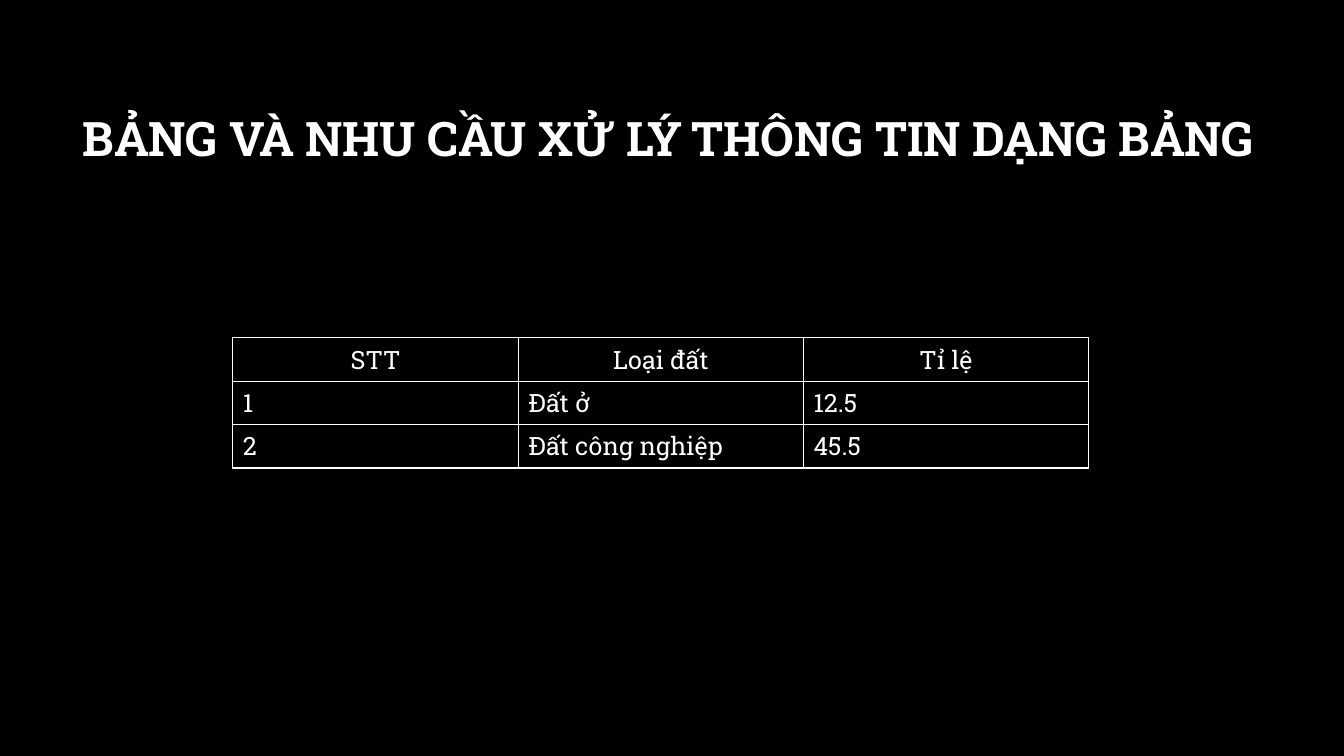
from lxml.etree import SubElement
from pptx import Presentation
from pptx.dml.color import RGBColor
from pptx.enum.text import MSO_ANCHOR, PP_ALIGN
from pptx.oxml.ns import qn
from pptx.util import Inches, Pt

BLACK = RGBColor(0x00, 0x00, 0x00)
WHITE = RGBColor(0xFF, 0xFF, 0xFF)
FONT = "Roboto Slab"

SLIDE_W, SLIDE_H = Inches(13.33), Inches(7.5)
COLUMN_W, ROW_H = Inches(2.83), Inches(0.41)
TITLE_ONLY = 5

HEADING = "BẢNG VÀ NHU CẦU XỬ LÝ THÔNG TIN DẠNG BẢNG"
LAND_USE = [
    ("STT", "Loại đất", "Tỉ lệ"),
    ("1", "Đất ở", "12.5"),
    ("2", "Đất công nghiệp", "45.5"),
]


def write(paragraph, text, size, align, bold=False):
    paragraph.alignment = align
    run = paragraph.add_run()
    run.text = text
    font = run.font
    font.name, font.size, font.bold = FONT, Pt(size), bold
    font.color.rgb = WHITE


def add_heading(slide, text):
    heading = slide.shapes.title
    heading.left, heading.top = Inches(0.23), Inches(0.67)
    heading.width, heading.height = Inches(12.8), Inches(1.45)
    frame = heading.text_frame
    frame.word_wrap = True
    frame.vertical_anchor = MSO_ANCHOR.MIDDLE
    line = frame.paragraphs[0]
    line.line_spacing = 0.9
    write(line, text, 34, PP_ALIGN.CENTER, bold=True)


def outline_cell(cell):
    properties = cell._tc.get_or_add_tcPr()
    for side in ("a:lnL", "a:lnR", "a:lnT", "a:lnB"):
        border = SubElement(properties, qn(side), w=str(Pt(1)))
        fill = SubElement(border, qn("a:solidFill"))
        SubElement(fill, qn("a:srgbClr"), val=str(WHITE))


def add_land_table(slide, rows):
    row_count, column_count = len(rows), len(rows[0])
    table = slide.shapes.add_table(
        row_count, column_count, Inches(2.31), Inches(3.35),
        COLUMN_W * column_count, ROW_H * row_count).table
    table.horz_banding = False
    for column in table.columns:
        column.width = COLUMN_W
    for r, values in enumerate(rows):
        table.rows[r].height = ROW_H
        align = PP_ALIGN.LEFT if r else PP_ALIGN.CENTER
        for c, value in enumerate(values):
            cell = table.cell(r, c)
            # Borders come before the fill in the cell properties
            outline_cell(cell)
            cell.fill.background()
            write(cell.text_frame.paragraphs[0], value, 18, align)


def main():
    deck = Presentation()
    deck.slide_width, deck.slide_height = SLIDE_W, SLIDE_H
    slide = deck.slides.add_slide(deck.slide_layouts[TITLE_ONLY])

    # Black backdrop
    backdrop = slide.background.fill
    backdrop.solid()
    backdrop.fore_color.rgb = BLACK

    # Heading and table
    add_heading(slide, HEADING)
    add_land_table(slide, LAND_USE)

    deck.save("out.pptx")


if __name__ == "__main__":
    main()
